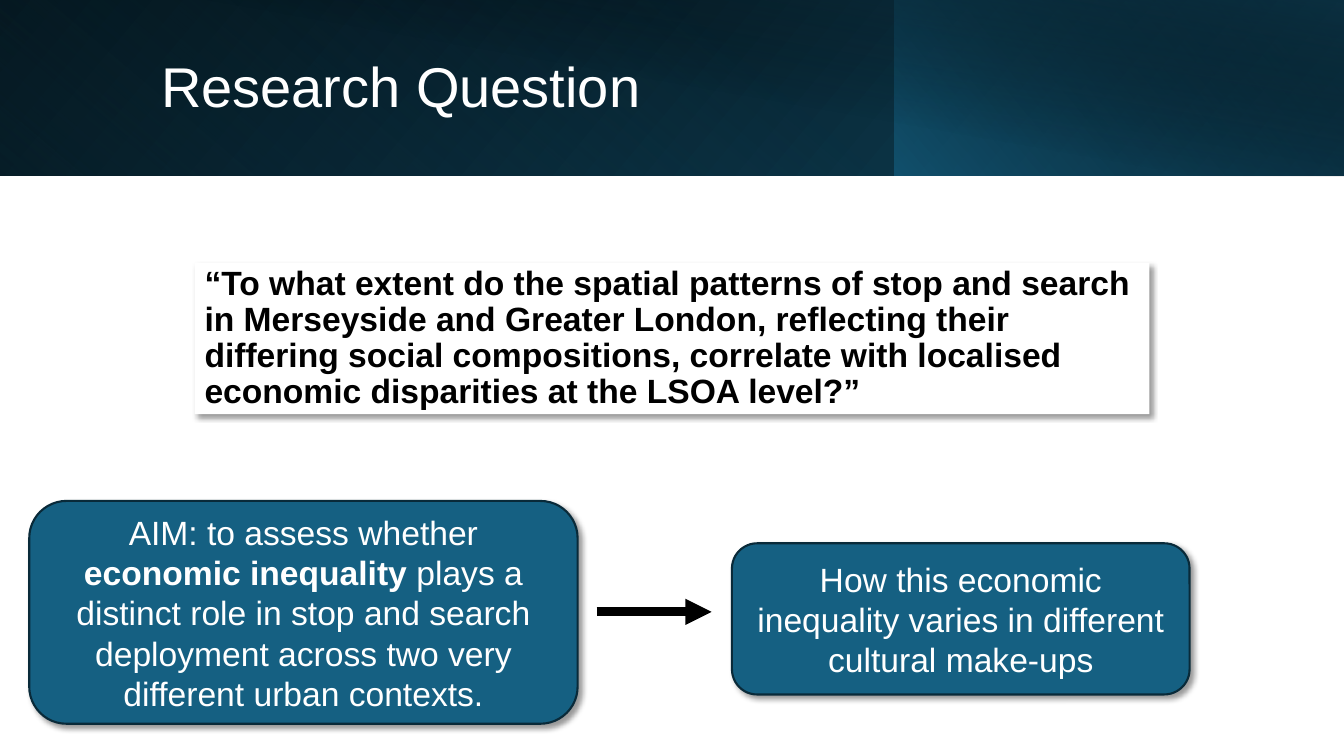
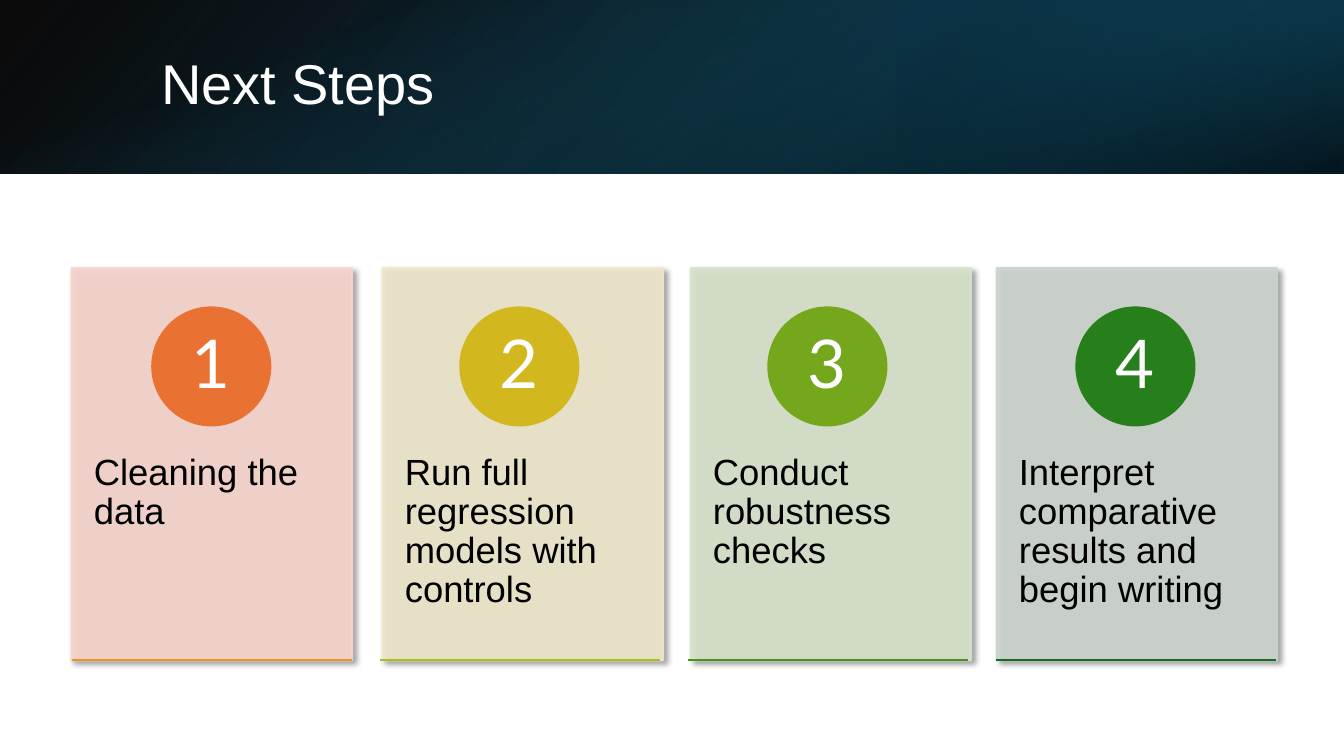
from pptx import Presentation
from pptx.dml.color import RGBColor
from pptx.enum.shapes import MSO_CONNECTOR as LINK, MSO_SHAPE as FORM
from pptx.enum.text import MSO_ANCHOR as ANCHOR, PP_ALIGN as ALIGN
from pptx.oxml import parse_xml
from pptx.oxml.ns import nsdecls, qn
from pptx.util import Inches, Pt

WHITE = RGBColor(0xFF, 0xFF, 0xFF)
BLACK = RGBColor(0, 0, 0)
BLUE = RGBColor(0x15, 0x60, 0x82)
DEEP = RGBColor(0x10, 0x48, 0x62)
NAVY = RGBColor(0x0B, 0x30, 0x41)
EDGE = RGBColor(0x09, 0x2A, 0x39)

TITLE = {"size": Pt(40), "name": "Arial"}
BODY = {"size": Pt(24), "name": "Arial"}
STRONG = {**BODY, "bold": True}
STEP = {"size": Pt(26), "name": "Arial"}
DIGIT = {"size": Pt(48), "name": "Lato"}

deck = Presentation()
deck.slide_width, deck.slide_height = Inches(13.33), Inches(7.5)
COL, ROW = deck.slide_width / 100, deck.slide_height / 100
BLANK = deck.slide_layouts[6]
NS = nsdecls("a")


def draw(page, form, box, fill=None, line=None, alpha=100, shade=False):
    left, top, wide, high = box
    shape = page.shapes.add_shape(
        form, int(left * COL), int(top * ROW), int(wide * COL), int(high * ROW))
    for part, tone in ((shape.fill, fill), (shape.line.fill, line)):
        if tone is None:
            part.background()
        else:
            part.solid()
            part.fore_color.rgb = tone
    if line is not None:
        shape.line.width = Pt(1.5)
    prop = shape.element.spPr
    if alpha < 100:
        for tint in prop.iter(qn("a:srgbClr")):
            tint.append(parse_xml(f'<a:alpha {NS} val="{alpha * 1000}"/>'))
    shape.shadow.inherit = False
    if shade:
        prop.find(qn("a:effectLst")).append(parse_xml(
            f'<a:outerShdw {NS} blurRad="{Pt(4)}" dist="{Pt(3)}" dir="2700000" '
            'algn="tl" rotWithShape="0"><a:srgbClr val="000000">'
            '<a:alpha val="40000"/></a:srgbClr></a:outerShdw>'))
    return shape


def write(shape, runs, tone, align=ALIGN.LEFT, space=0.9, anchor=ANCHOR.MIDDLE, pad=None):
    frame = shape.text_frame
    look = {"word_wrap": True, "vertical_anchor": anchor}
    if pad:
        look.update(zip(("margin_left", "margin_right", "margin_top", "margin_bottom"),
                        (pad[0], pad[0], pad[1], pad[1])))
    for key, val in look.items():
        setattr(frame, key, val)
    para = frame.paragraphs[0]
    para.alignment, para.line_spacing = align, space
    for text, form in runs:
        run = para.add_run()
        run.text = text
        run.font.color.rgb = tone
        for key, val in form.items():
            setattr(run.font, key, val)


HEADS = [
    ("Research Question", (11.25, 4.27, 81.15, 15.07), [
        ((0, 0, 100, 23.2), 0, True, 140, [(0, BLACK, 100), (100, DEEP, 100)]),
        ((0, 0, 66.6, 23.2), 180, True, 230, [(20, BLUE, 0), (100, NAVY, 55)]),
        ((66.55, 0, 33.45, 23.2), 0, True, 220, [(0, BLUE, 66), (100, BLACK, 30)]),
        ((3.75, 0, 96.25, 23.33), 0, False, 280, [(50, BLACK, 0), (99, NAVY, 52)]),
    ]),
    ("Next Steps", (11.25, 5.07, 82.35, 12.8), [
        ((0, 0, 100, 22.93), 0, True, 140, [(0, BLACK, 96), (100, DEEP, 100)]),
        ((66.7, 0, 33.3, 22.93), 180, True, 320, [(19, NAVY, 68), (100, BLUE, 79)]),
        ((0, 0, 100, 22.93), 0, False, 70, [(23, BLUE, 0), (99, BLACK, 74)]),
    ]),
]
pages = []
for title, spot, bands in HEADS:
    page = deck.slides.add_slide(BLANK)
    pages.append(page)
    for box, turn, flip, angle, stops in bands:
        band = draw(page, FORM.RECTANGLE, box)
        band.rotation = turn
        prop = band.element.spPr
        if flip:
            prop.find(qn("a:xfrm")).set("flipH", "1")
        marks = "".join(
            f'<a:gs pos="{pos * 1000}"><a:srgbClr val="{tone}">'
            f'<a:alpha val="{alpha * 1000}"/></a:srgbClr></a:gs>'
            for pos, tone, alpha in stops)
        prop.replace(prop.find(qn("a:noFill")), parse_xml(
            f'<a:gradFill {NS} rotWithShape="1"><a:gsLst>{marks}</a:gsLst>'
            f'<a:lin ang="{angle * 60000}" scaled="0"/></a:gradFill>'))
    write(draw(page, FORM.RECTANGLE, spot), [(title, TITLE)], WHITE)

ask, plan = pages

quote = draw(ask, FORM.RECTANGLE, (14.48, 34.8, 71.05, 20), WHITE, shade=True)
write(quote, [(
    "“To what extent do the spatial patterns of stop and search in Merseyside and "
    "Greater London, reflecting their differing social compositions, correlate with "
    "localised economic disparities at the LSOA level?”", STRONG)], BLACK)

AIMS = [
    ((2.18, 66.27, 40.8, 29.47), [
        ("AIM: to assess whether ", BODY),
        ("economic inequality", STRONG),
        (" plays a distinct role in stop and search deployment across two very "
         "different urban contexts.", BODY)]),
    ((54.46, 71.87, 34.05, 20), [
        ("How this economic inequality varies in different cultural make-ups", BODY)]),
]
for box, runs in AIMS:
    aim = draw(ask, FORM.ROUNDED_RECTANGLE, box, BLUE, EDGE, shade=True)
    write(aim, runs, WHITE, ALIGN.CENTER, 1)

STEPS = [
    ("Cleaning the data", 0, "F7D5CE", "E97132", "E49622"),
    ("Run full regression models with controls", 0.22, "EEE7CB", "D2B81E", "ABBC1E"),
    ("Conduct robustness checks", 0.22, "D8E2CA", "75A71D", "49931D"),
    ("Interpret comparative results and begin writing", 0.07, "CCD4CD", "277F1B", "196B24"),
]
START, PITCH, WIDE = 5.33, 22.92, 20.86
rules = [(ask, 44.4, 52.95, 80.93, BLACK, 6.25, True)]
for num, (text, skew, *tones) in enumerate(STEPS):
    pale, disc, base = map(RGBColor.from_string, tones)
    left = START + num * PITCH
    draw(plan, FORM.RECTANGLE, (left + skew, 35.47, WIDE, 51.87), pale, pale, 90, True)
    note = draw(plan, FORM.RECTANGLE, (left + skew, 55.2, WIDE, 31.07))
    write(note, [(text, STEP)], BLACK, anchor=ANCHOR.TOP, pad=(Inches(0.22), Inches(0.36)))
    dot = draw(plan, FORM.OVAL, (left + 6, 40.67, 8.78, 15.6), disc, disc)
    write(dot, [(str(num + 1), DIGIT)], WHITE, ALIGN.CENTER, pad=(0, Inches(0.01)))
    rules.append((plan, left, left + WIDE, 87.33, base, 1.5, False))

for page, start, end, row, tone, size, tip in rules:
    rule = page.shapes.add_connector(
        LINK.STRAIGHT, int(start * COL), int(row * ROW), int(end * COL), int(row * ROW))
    rule.line.color.rgb = tone
    rule.line.width = Pt(size)
    prop = rule.element.spPr
    if tip:
        prop.find(qn("a:ln")).append(parse_xml(f'<a:tailEnd {NS} type="triangle"/>'))
    prop.append(parse_xml(f"<a:effectLst {NS}/>"))

deck.save("out.pptx")
